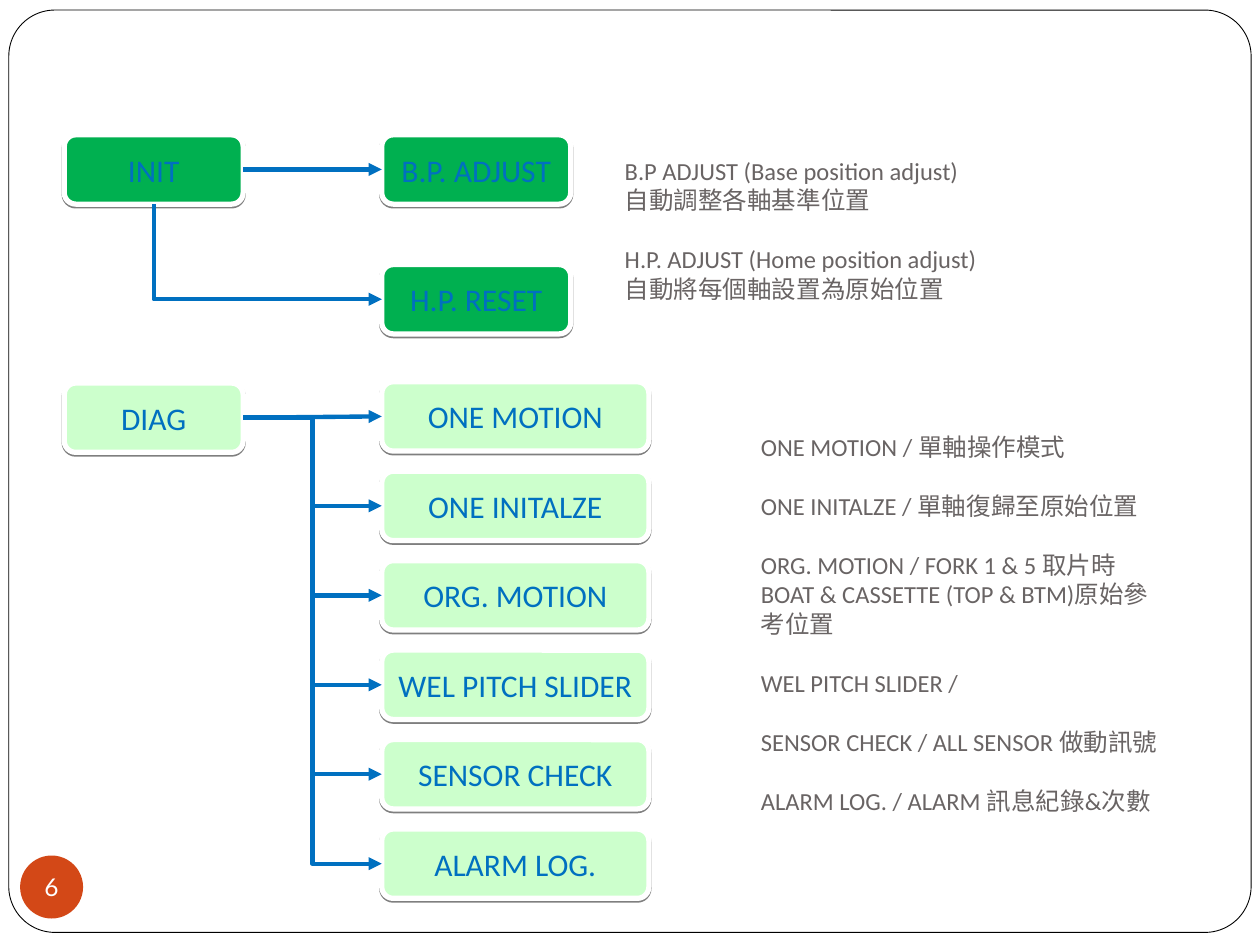
from dataclasses import dataclass

from lxml import etree
from pptx import Presentation
from pptx.dml.color import RGBColor
from pptx.enum.shapes import MSO_CONNECTOR, MSO_SHAPE
from pptx.enum.text import MSO_ANCHOR, PP_ALIGN
from pptx.oxml.ns import qn
from pptx.util import Inches, Pt

STRAIGHT, ELBOW = MSO_CONNECTOR.STRAIGHT, MSO_CONNECTOR.ELBOW
FRAME, BADGE = MSO_SHAPE.ROUNDED_RECTANGLE, MSO_SHAPE.OVAL
PROCESS = MSO_SHAPE.FLOWCHART_ALTERNATE_PROCESS
MIDDLE = MSO_ANCHOR.MIDDLE
LEFT, CENTER = PP_ALIGN.LEFT, PP_ALIGN.CENTER


@dataclass(frozen=True)
class Theme:
    white: str = "FFFFFF"
    black: str = "000000"
    init: str = "00B050"
    diag: str = "CCFFCC"
    accent: str = "0070C0"
    note: str = "696464"
    badge: str = "D34817"
    font: str = "Calibri"
    badge_font: str = "Lato"
    box_size: int = 18
    small_size: int = 14
    gap: int = 17


class FlowSlide:
    def __init__(self, slide, theme):
        self.shapes = slide.shapes
        self.theme = theme

    def add_text(self, paragraph, text, size, color, align=LEFT, font=None):
        paragraph.alignment = align
        run = paragraph.add_run()
        run.text = text
        run.font.name = font or self.theme.font
        run.font.size = Pt(size)
        run.font.color.rgb = RGBColor.from_string(color)

    def shape(self, kind, x, y, w, h, fill, line=None, line_width=0):
        shape = self.shapes.add_shape(kind, Inches(x), Inches(y), Inches(w), Inches(h))
        shape.shadow.inherit = False
        shape.fill.solid()
        shape.fill.fore_color.rgb = RGBColor.from_string(fill)
        if line:
            shape.line.color.rgb = RGBColor.from_string(line)
            shape.line.width = Pt(line_width)
        else:
            shape.line.fill.background()
        return shape

    def frame(self, x, y, w, h):
        frame = self.shape(FRAME, x, y, w, h, self.theme.white, self.theme.black, 0.5)
        frame.adjustments[0] = 0.05

    def page_badge(self, x, y, size, number):
        badge = self.shape(BADGE, x, y, size, size, self.theme.badge)
        text = badge.text_frame
        text.margin_left = text.margin_right = text.margin_top = text.margin_bottom = 0
        text.word_wrap = False
        text.vertical_anchor = MIDDLE
        self.add_text(text.paragraphs[0], number, self.theme.small_size,
                      self.theme.white, CENTER, self.theme.badge_font)

    def box(self, x, y, w, label, fill):
        box = self.shape(PROCESS, x, y, w, BOX_H, fill, self.theme.white, 3)
        # Hard shadow one point below the box
        effects = box._element.spPr.find(qn("a:effectLst"))
        shadow = etree.SubElement(effects, qn("a:outerShdw"), blurRad="0",
                                  dist=str(Pt(1)), dir="5400000", rotWithShape="0")
        color = etree.SubElement(shadow, qn("a:srgbClr"), val=self.theme.black)
        etree.SubElement(color, qn("a:alpha"), val="50000")
        box.text_frame.word_wrap = True
        box.text_frame.vertical_anchor = MIDDLE
        self.add_text(box.text_frame.paragraphs[0], label, self.theme.box_size,
                      self.theme.accent, CENTER)

    def arrow(self, kind, x1, y1, x2, y2):
        arrow = self.shapes.add_connector(kind, Inches(x1), Inches(y1),
                                          Inches(x2), Inches(y2))
        arrow.line.color.rgb = RGBColor.from_string(self.theme.accent)
        arrow.line.width = Pt(2.5)
        properties = arrow._element.spPr
        etree.SubElement(properties.find(qn("a:ln")), qn("a:tailEnd"), type="triangle")
        etree.SubElement(properties, qn("a:effectLst"))
        return arrow

    def down_right_arrow(self, x1, y1, x2, y2):
        # A mirrored one-bend connector, turned a quarter about its centre
        cx, cy = (x1 + x2) / 2, (y1 + y2) / 2
        half_w, half_h = (y2 - y1) / 2, (x2 - x1) / 2
        arrow = self.arrow(ELBOW, cx + half_w, cy - half_h, cx - half_w, cy + half_h)
        properties = arrow._element.spPr
        properties.find(qn("a:xfrm")).set("rot", "16200000")
        properties.find(qn("a:prstGeom")).set("prst", "bentConnector2")

    def notes(self, x, y, w, h, groups):
        text = self.shapes.add_textbox(Inches(x), Inches(y), Inches(w), Inches(h)).text_frame
        text.word_wrap = True
        text.vertical_anchor = MIDDLE
        for g, lines in enumerate(groups):
            for n, line in enumerate(lines):
                first = g == n == 0
                paragraph = text.paragraphs[0] if first else text.add_paragraph()
                if g and n == 0:
                    paragraph.space_before = Pt(self.theme.gap)
                self.add_text(paragraph, line, self.theme.small_size, self.theme.note)


# Layout grid
BOX_H = 0.55
ROOT_X, ROOT_W = 0.51, 1.42
ROOT_RIGHT = ROOT_X + ROOT_W
STEP_X = 3.03
INIT_Y, INIT_PITCH, INIT_W = 1.07, 1.03, 1.5
DIAG_Y, DIAG_PITCH, DIAG_W = 3.03, 0.71, 2.12

INIT_STEPS = ["B.P. ADJUST", "H.P. RESET"]
DIAG_STEPS = ["ONE MOTION", "ONE INITALZE", "ORG. MOTION",
              "WEL PITCH SLIDER", "SENSOR CHECK", "ALARM LOG."]
INIT_NOTES = [
    ["B.P ADJUST (Base position adjust)", "自動調整各軸基準位置"],
    ["H.P. ADJUST (Home position adjust)", "自動將每個軸設置為原始位置"],
]
DIAG_NOTES = [
    ["ONE MOTION / 單軸操作模式"],
    ["ONE INITALZE / 單軸復歸至原始位置"],
    ["ORG. MOTION / FORK 1 & 5 取片時BOAT & CASSETTE (TOP & BTM)原始參考位置"],
    ["WEL PITCH SLIDER /"],
    ["SENSOR CHECK / ALL SENSOR 做動訊號"],
    ["ALARM LOG. / ALARM 訊息紀錄&次數"],
]


def main():
    deck = Presentation()
    deck.slide_width, deck.slide_height = Inches(10), Inches(7.5)
    theme = Theme()
    page = FlowSlide(deck.slides.add_slide(deck.slide_layouts[6]), theme)

    # Frame and page number
    page.frame(0.07, 0.08, 9.86, 7.32)
    page.page_badge(0.16, 6.79, 0.5, "6")

    # INIT branch
    page.box(ROOT_X, INIT_Y, ROOT_W, "INIT", theme.init)
    for i, label in enumerate(INIT_STEPS):
        page.box(STEP_X, INIT_Y + i * INIT_PITCH, INIT_W, label, theme.init)
    init_mid = INIT_Y + BOX_H / 2
    page.arrow(STRAIGHT, ROOT_RIGHT, init_mid, STEP_X, init_mid)
    page.down_right_arrow(ROOT_X + ROOT_W / 2, INIT_Y + BOX_H,
                          STEP_X, init_mid + INIT_PITCH)
    page.notes(4.86, 1.07, 3.39, 1.5, INIT_NOTES)

    # DIAG branch
    root_y = DIAG_Y + 0.01
    page.box(ROOT_X, root_y, ROOT_W, "DIAG", theme.diag)
    for i, label in enumerate(DIAG_STEPS):
        page.box(STEP_X, DIAG_Y + i * DIAG_PITCH, DIAG_W, label, theme.diag)
    for i in range(len(DIAG_STEPS)):
        page.arrow(ELBOW if i else STRAIGHT, ROOT_RIGHT, root_y + BOX_H / 2,
                   STEP_X, DIAG_Y + i * DIAG_PITCH + BOX_H / 2)
    page.notes(5.94, 2.84, 3.39, 4.22, DIAG_NOTES)

    deck.save("out.pptx")


if __name__ == "__main__":
    main()
